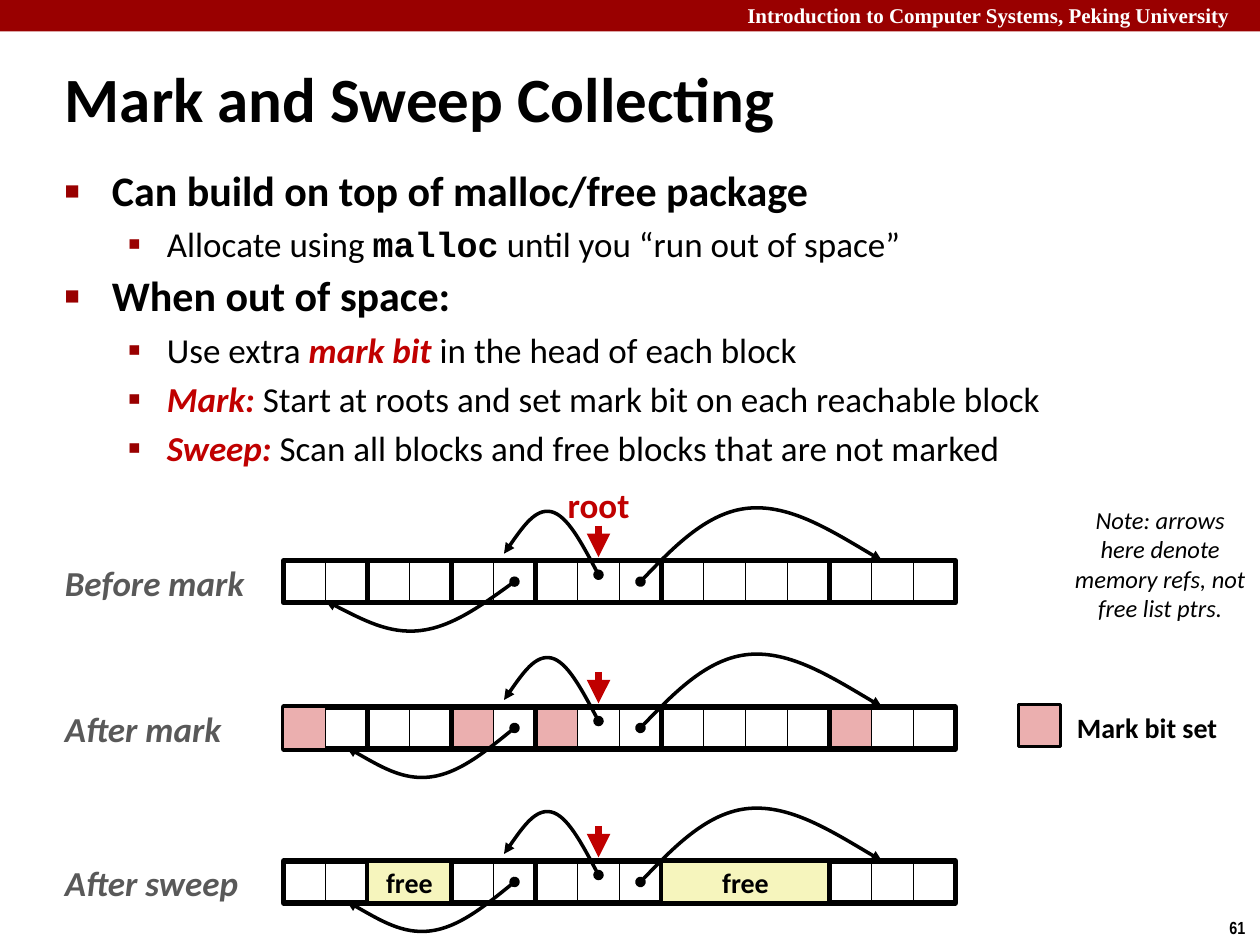
"""Build the slide on mark and sweep collecting."""
from dataclasses import dataclass

from lxml.etree import SubElement
from pptx import Presentation
from pptx.dml.color import RGBColor
from pptx.enum.shapes import MSO_CONNECTOR, MSO_SHAPE
from pptx.enum.text import MSO_ANCHOR, PP_ALIGN
from pptx.oxml.ns import qn
from pptx.util import Pt


@dataclass
class Theme:
    """Colours, fonts and type sizes."""
    black: str = "000000"
    white: str = "FFFFFF"
    deep: str = "990000"
    red: str = "C00000"
    grey: str = "595959"
    pink: str = "EBAFAF"
    cream: str = "F6F5BD"
    sans: str = "Calibri"
    code: str = "Courier New"
    serif: str = "Times New Roman"
    slim: str = "Arial Narrow"
    title: int = 36
    head: int = 24
    body: int = 20
    note: int = 14
    label: int = 16
    top: int = 12
    page: int = 10


class Deck:
    """Hold the theme and the slide, and draw on it."""

    def __init__(self, theme):
        """Open a blank slide."""
        self.theme = theme
        self.show = Presentation()
        self.show.slide_width, self.show.slide_height = Pt(720), Pt(540)
        self.slide = self.show.slides.add_slide(self.show.slide_layouts[6])
        self.shapes = self.slide.shapes

    def style(self, font, size, color=None, bold=False, slant=False, face=None):
        """Set the look of a font."""
        font.name = face or self.theme.sans
        font.size, font.bold, font.italic = Pt(size), bold, slant
        font.color.rgb = RGBColor.from_string(color or self.theme.black)

    def text(self, words, x, y, w, h, size, wrap=False, align=PP_ALIGN.LEFT,
             anchor=MSO_ANCHOR.TOP, **look):
        """Add a text box with one paragraph."""
        frame = self.shapes.add_textbox(Pt(x), Pt(y), Pt(w), Pt(h)).text_frame
        frame.word_wrap, frame.vertical_anchor = wrap, anchor
        frame.text = words
        para = frame.paragraphs[0]
        para.alignment = align
        self.style(para.runs[0].font, size, **look)
        return para

    def bullets(self, items, x, y, w, h):
        """Add a two-level list; each item is a level and its runs."""
        theme = self.theme
        looks = [(theme.head, 27, 27, "60000", "■", 0.95),
                 (theme.body, 58.5, 22.5, "110000", "▪", 1.0)]
        frame = self.shapes.add_textbox(Pt(x), Pt(y), Pt(w), Pt(h)).text_frame
        frame.word_wrap = True
        for place, (level, runs) in enumerate(items):
            size, left, hang, scale, mark, lead = looks[level]
            para = frame.add_paragraph() if place else frame.paragraphs[0]
            para.level, para.line_spacing = level, lead
            para.space_before = Pt(size * 0.2 if place else 0)
            props = para._p.get_or_add_pPr()
            props.set("marL", str(Pt(left)))
            props.set("indent", str(-Pt(hang)))
            tint = SubElement(props, qn("a:buClr"))
            SubElement(tint, qn("a:srgbClr"), val=theme.deep)
            SubElement(props, qn("a:buSzPct"), val=scale)
            SubElement(props, qn("a:buFont"), typeface=theme.serif)
            SubElement(props, qn("a:buChar"), char=mark)
            for words, look in runs:
                run = para.add_run()
                run.text = words
                self.style(run.font, size, **look)

    def box(self, x, y, w, h, fill=None, line=None, words=""):
        """Add a rectangle, filled, outlined or labelled as asked."""
        box = self.shapes.add_shape(MSO_SHAPE.RECTANGLE, Pt(x), Pt(y), Pt(w), Pt(h))
        box.shadow.inherit = False
        self.paint(box.fill, fill)
        self.paint(box.line.fill, self.theme.black if line else None)
        if line:
            box.line.width = Pt(line)
        if words:
            frame = box.text_frame
            frame.text, frame.word_wrap = words, False
            frame.vertical_anchor = MSO_ANCHOR.MIDDLE
            para = frame.paragraphs[0]
            para.alignment = PP_ALIGN.CENTER
            self.style(para.runs[0].font, self.theme.label, bold=True)
        return box

    def paint(self, fill, color):
        """Fill with a colour, or with nothing."""
        if color:
            fill.solid()
            fill.fore_color.rgb = RGBColor.from_string(color)
        else:
            fill.background()

    def ends(self, shape, **heads):
        """Put heads on the ends of a line."""
        line = shape.line._get_or_add_ln()
        for tag, kind in heads.items():
            SubElement(line, qn("a:" + tag), type=kind)

    def rule(self, x, y, end, width, color=None):
        """Add an upright line from y to end."""
        rule = self.shapes.add_connector(
            MSO_CONNECTOR.STRAIGHT, Pt(x), Pt(y), Pt(x), Pt(end))
        rule.line.width = Pt(width)
        rule.line.color.rgb = RGBColor.from_string(color or self.theme.black)
        SubElement(rule._element.spPr, qn("a:effectLst"))
        return rule

    def curve(self, points, x, y):
        """Add a curved arrow: a start, then three points for each arc."""
        spots = [(Pt(x + dx), Pt(y + dy)) for dx, dy in points]
        build = self.shapes.build_freeform(*spots[0])
        build.add_line_segments(spots[1:], close=False)
        shape = build.convert_to_shape()
        shape.shadow.inherit = False
        shape.fill.background()
        self.paint(shape.line.fill, self.theme.black)
        shape.line.width = Pt(2)
        self.ends(shape, headEnd="oval", tailEnd="triangle")
        track = shape._element.spPr.find(".//" + qn("a:path"))
        steps = track.findall(qn("a:lnTo"))
        for first in range(0, len(steps), 3):
            arc = SubElement(track, qn("a:cubicBezTo"))
            for step in steps[first:first + 3]:
                arc.append(step[0])
                track.remove(step)

    def heap(self, name, y, reach, marks=(), frees=()):
        """Draw one stage of the heap; marks and frees are block numbers."""
        theme, left, cell = self.theme, 162, 24
        sizes = [2, 2, 2, 3, 4, 3]
        starts = [left + cell * sum(sizes[:n]) for n in range(len(sizes))]
        for n in marks[1:]:
            self.box(starts[n], y, cell, cell, theme.pink, 0.75)
        drops = [12, 25, 38, 40, 42, 32, 23]
        back = [(132 - reach * n / 6, drop) for n, drop in enumerate(drops)]
        for points in (ROOT, AHEAD, back):
            self.curve(points, left, y)
        self.text(name, 30, y - 3, 118, 32, theme.body,
                  color=theme.grey, bold=True, slant=True)
        self.ends(self.rule(342, y - 20, y - 2, 4.5, theme.red), tailEnd="triangle")
        for n, (x, size) in enumerate(zip(starts, sizes)):
            block = self.box(x, y, size * cell, cell, line=3)
            if n in frees:
                self.box(x, y, size * cell, cell, theme.cream, 2, "free")
                continue
            for k in range(1, size):
                wide = 1 if n in marks and k == 1 else 0.5
                rule = self.rule(x + k * cell, y, y + cell, wide)
                if 2 * k == size:
                    rule.begin_connect(block, 0)
                    rule.end_connect(block, 2)
        for n in marks[:1]:
            self.box(starts[n], y, cell, cell, theme.pink, 0.75)


ROOT = [(180, 8), (171, -9), (162, -26), (153, -28),
        (144, -30), (135, -17), (126, -4)]
AHEAD = [(204, 12), (223, -8), (243, -28), (266, -30),
         (289.5, -32), (315, -16), (342, 0)]


def main():
    """Build and save the slide."""
    theme = Theme()
    deck = Deck(theme)
    deck.box(0, 0, 720, 18, theme.deep)
    deck.text("Introduction to Computer Systems, Peking University", 420, -2, 305, 22,
              theme.top, wrap=True, color=theme.white, bold=True, face=theme.serif)
    deck.text("61", 695.5, 520.5, 24.5, 19.5, theme.page, bold=True, face=theme.slim)
    title = deck.text("Mark and Sweep Collecting", 30, 36, 563, 45, theme.title,
                      wrap=True, anchor=MSO_ANCHOR.MIDDLE, bold=True)
    title.line_spacing = 0.87
    bold, plain = {"bold": True}, {}
    key = {"color": theme.red, "bold": True, "slant": True}
    deck.bullets([
        (0, [("Can build on top of malloc/free package", bold)]),
        (1, [("Allocate using ", plain), ("malloc", {"bold": True, "face": theme.code}),
             (" until you “run out of space”", plain)]),
        (0, [("When out of space:", bold)]),
        (1, [("Use extra ", plain), ("mark bit ", key),
             ("in the head of each block", plain)]),
        (1, [("Mark: ", key),
             ("Start at roots and set mark bit on each reachable block", plain)]),
        (1, [("Sweep: ", key),
             ("Scan all blocks and free blocks that are not marked", plain)]),
    ], 29.8, 92.5, 654.5, 189.5)
    deck.heap("After mark", 404, 96, marks=(0, 2, 3, 5))
    deck.box(582, 402.5, 24, 24, theme.pink, 2)
    deck.text("Mark bit set", 608, 402.5, 95, 27, theme.label,
              align=PP_ALIGN.CENTER, bold=True)
    deck.heap("After sweep", 492, 96, frees=(1, 4))
    deck.text("root", 312, 273, 60, 32, theme.body,
              align=PP_ALIGN.CENTER, color=theme.red, bold=True)
    deck.heap("Before mark", 320.4, 108)
    deck.text("Note: arrows here denote memory refs, not free list ptrs.", 606, 285,
              114, 75, theme.note, wrap=True, align=PP_ALIGN.CENTER, slant=True)
    deck.show.save("out.pptx")


if __name__ == "__main__":
    main()
